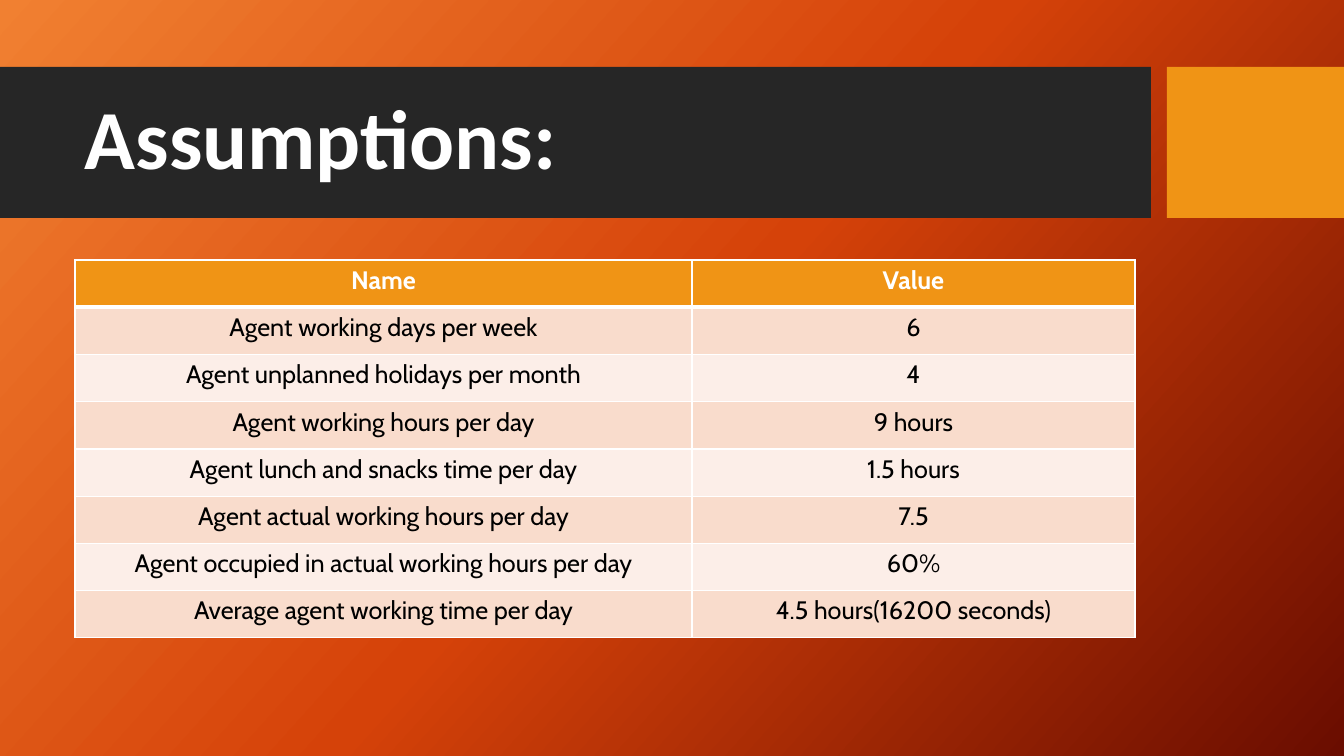
from copy import deepcopy

from lxml.etree import SubElement
from pptx import Presentation
from pptx.dml.color import RGBColor as RGB
from pptx.enum.shapes import MSO_SHAPE as SHAPE
from pptx.enum.text import MSO_ANCHOR as ANCHOR, PP_ALIGN as ALIGN
from pptx.oxml.ns import qn
from pptx.util import Pt

TITLE = "Assumptions:"
ROWS = [
    ("Name", "Value"),
    ("Agent working days per week", "6"),
    ("Agent unplanned holidays per month", "4"),
    ("Agent working hours per day", "9 hours"),
    ("Agent lunch and snacks time per day", "1.5 hours"),
    ("Agent actual working hours per day", "7.5"),
    ("Agent occupied in actual working hours per day", "60%"),
    ("Average agent working time per day", "4.5 hours(16200 seconds)"),
]
THEME = {
    "gradient": [(0, "F18031"), (0.5, "D54209"), (1, "6A0D00")],
    "gradient_angle": 318,
    "banner": "262626",
    "accent": "F09415",
    "bands": ("FCEEE8", "F9DCCC"),
    "light": "FFFFFF",
    "dark": "000000",
    "title_font": "Calibri",
    "title_size": 60,
    "table_font": "Cabin",
    "table_size": 18,
    "rule": 1,
    "header_rule": 3,
}
SLIDE_W, SLIDE_H = 1344, 756
BANNER_Y, BANNER_H = 67, 151
BANNER_W, ACCENT_X = 1151, 1167
TITLE_BOX = (75, 83, 1060, 119)
TABLE_X, TABLE_Y, TABLE_H = 75, 260, 378
COL_WIDTHS = (617, 443)


def px(n):
    return round(n * 914400 / 100.8)


def add_block(s, x, w, color):
    block = s.shapes.add_shape(SHAPE.RECTANGLE, px(x), px(BANNER_Y), px(w), px(BANNER_H))
    block.shadow.inherit = False
    block.fill.solid()
    block.fill.fore_color.rgb = RGB.from_string(color)
    block.line.fill.background()


def add_run(p, text, font, size, color, bold):
    r = p.add_run()
    r.text = text
    r.font.name = font
    r.font.size = Pt(size)
    r.font.bold = bold
    r.font.color.rgb = RGB.from_string(color)


def set_background(s):
    fill = s.background.fill
    fill.gradient()
    fill.gradient_angle = THEME["gradient_angle"]
    stops = s.element.find(".//" + qn("a:gsLst"))
    stops.append(deepcopy(stops[0]))
    for stop, (position, color) in zip(fill.gradient_stops, THEME["gradient"]):
        stop.position = position
        stop.color.rgb = RGB.from_string(color)


def set_borders(cell, widths):
    tcPr = cell._tc.get_or_add_tcPr()
    for side, width in zip("LRTB", widths):
        ln = SubElement(tcPr, qn(f"a:ln{side}"), w=str(Pt(width)))
        fill = SubElement(ln, qn("a:solidFill"))
        SubElement(fill, qn("a:srgbClr"), val=THEME["light"])


def add_title(s):
    box = s.shapes.add_textbox(*map(px, TITLE_BOX))
    tf = box.text_frame
    tf.word_wrap = True
    tf.vertical_anchor = ANCHOR.MIDDLE
    p = tf.paragraphs[0]
    p.line_spacing = 0.9
    add_run(p, TITLE, THEME["title_font"], THEME["title_size"], THEME["light"], True)


def add_assumptions(s):
    frame = s.shapes.add_table(len(ROWS), len(COL_WIDTHS), px(TABLE_X), px(TABLE_Y),
                               px(sum(COL_WIDTHS)), px(TABLE_H))
    table = frame.table
    for column, width in zip(table.columns, COL_WIDTHS):
        column.width = px(width)
    for i, values in enumerate(ROWS):
        table.rows[i].height = px(TABLE_H / len(ROWS))
        header = i == 0
        top = THEME["header_rule" if i == 1 else "rule"]
        bottom = THEME["header_rule" if header else "rule"]
        for j, value in enumerate(values):
            cell = table.cell(i, j)
            set_borders(cell, (THEME["rule"], THEME["rule"], top, bottom))
            cell.fill.solid()
            color = THEME["accent"] if header else THEME["bands"][i % 2]
            cell.fill.fore_color.rgb = RGB.from_string(color)
            p = cell.text_frame.paragraphs[0]
            p.alignment = ALIGN.CENTER
            add_run(p, value, THEME["table_font"], THEME["table_size"],
                    THEME["light" if header else "dark"], header)


def main():
    prs = Presentation()
    prs.slide_width, prs.slide_height = px(SLIDE_W), px(SLIDE_H)
    s = prs.slides.add_slide(prs.slide_layouts[6])
    set_background(s)
    add_block(s, 0, BANNER_W, THEME["banner"])
    add_block(s, ACCENT_X, SLIDE_W - ACCENT_X, THEME["accent"])
    add_title(s)
    add_assumptions(s)
    prs.save("out.pptx")


if __name__ == "__main__":
    main()
